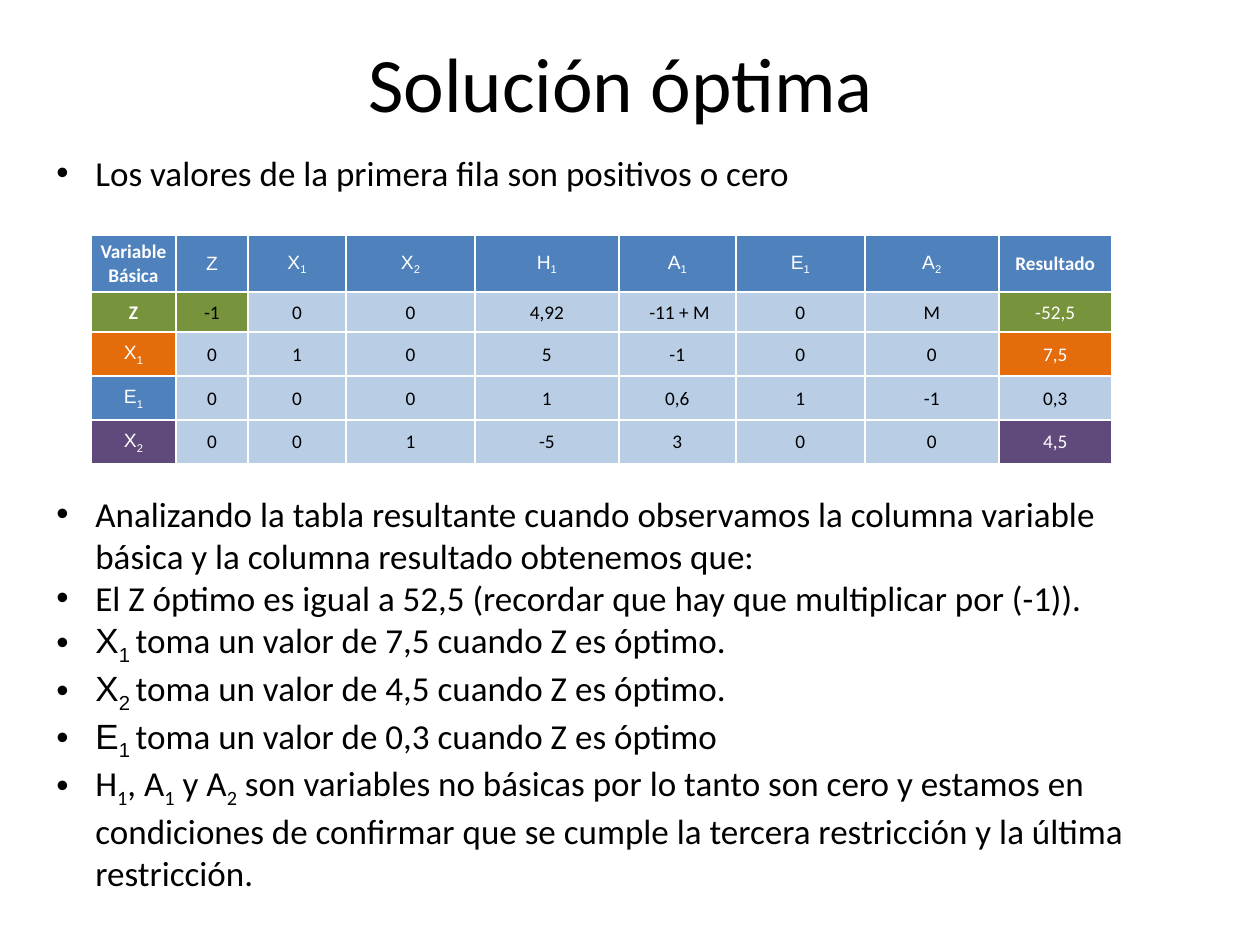
import pptx
import pptx.util
import pptx.dml.color
import pptx.enum.text
import pptx.oxml
import pptx.oxml.ns

PX = 914400 // 126
COLORS = {"black": "000000", "white": "FFFFFF", "blue": "4F81BD", "pale": "B9CDE5",
          "green": "77933C", "orange": "E46C0A", "purple": "604A7B"}

# Content: an underscore switches subscript on and off
TITLE = "Solución óptima"
BULLETS = [
    [("Calibri", "Los valores de la primera fila son positivos o cero")],
    [("Calibri", "Analizando la tabla resultante cuando observamos la columna variable "
                 "básica y la columna resultado obtenemos que:")],
    [("Calibri", "El Z óptimo es igual a 52,5 (recordar que hay que multiplicar por (-1)).")],
    [("Arial", "X_1 "), ("Calibri", "toma un valor de 7,5 cuando Z es óptimo.")],
    [("Arial", "X_2 "), ("Calibri", "toma un valor de 4,5 cuando Z es óptimo.")],
    [("Arial", "E_1 "), ("Calibri", "toma un valor de 0,3 cuando Z es óptimo")],
    [("Calibri", "H_1_, A_1_ y A_2_ son variables no básicas por lo tanto son cero y estamos en "
                 "condiciones de confirmar que se cumple la tercera restricción y la última "
                 "restricción.")],
]
TABLE = [
    ["Variable Básica", "Z", "X_1", "X_2", "H_1", "A_1", "E_1", "A_2", "Resultado"],
    ["Z", "-1", "0", "0", "4,92", " -11 + M", "0", "M", "-52,5"],
    ["X_1", "0", "1", "0", "5", "-1", "0", "0", "7,5"],
    ["E_1", "0", "0", "0", "1", "0,6", "1", "-1", "0,3"],
    ["X_2", "0", "0", "1", "-5", "3", "0", "0", "4,5"],
]
ROW_COLORS = ["blue", "green", "orange", "blue", "purple"]
HIGHLIGHTED = {(1, 1), (1, 8), (2, 8), (4, 8)}

# Layout in px
TITLE_BOX = (54, 3, 1134, 157)
BODY_BOX = (44, 145, 1134, 724)
TABLE_LEFT, TABLE_TOP = 91, 235
COLUMN_WIDTHS = [85, 72, 98, 129, 144, 117, 129, 134, 113]
ROW_HEIGHTS = [57, 40, 44, 44, 44]
BULLET_INDENT = 39
TABLE_GAP = 171  # points, seven lines of body text
TOP_BORDERS = [1, 1.5, 1.5, 1.5, 1]
BOTTOM_BORDERS = [1.5, 1.5, 1.5, 1, 1]


def rgb(name):
    return pptx.dml.color.RGBColor.from_string(COLORS[name])


def element(xml):
    return pptx.oxml.parse_xml(xml.replace(" ", " " + pptx.oxml.ns.nsdecls("a") + " ", 1))


def add_text(paragraph, text, font, size, color, bold=False):
    for index, part in enumerate(text.split("_")):
        if part:
            run = paragraph.add_run()
            run.text = part
            run.font.name = font
            run.font.size = pptx.util.Pt(size)
            run.font.bold = bold
            run.font.color.rgb = rgb(color)
            if index % 2:
                run.font._element.set("baseline", "-25000")


def add_box(slide, box):
    frame = slide.shapes.add_textbox(*[value * PX for value in box]).text_frame
    frame.word_wrap = True
    return frame


def add_bullet(paragraph):
    properties = paragraph._p.get_or_add_pPr()
    properties.set("marL", str(BULLET_INDENT * PX))
    properties.set("indent", str(-BULLET_INDENT * PX))
    for xml in (f'<a:buClr ><a:srgbClr val="{COLORS["black"]}"/></a:buClr>',
                '<a:buFont typeface="Arial"/>', '<a:buChar char="•"/>'):
        properties.append(element(xml))


def set_borders(cell, top, bottom):
    properties = cell._tc.get_or_add_tcPr()
    sides = [("L", 1), ("R", 1), ("T", top), ("B", bottom)]
    for index, (side, width) in enumerate(sides):
        properties.insert(index, element(
            f'<a:ln{side} w="{int(width * 12700)}"><a:solidFill>'
            f'<a:srgbClr val="{COLORS["white"]}"/></a:solidFill></a:ln{side}>'))


def fill_cell(cell, row, column, text):
    header, first = row == 0, column == 0
    variable = "_" in text or (header and text == "Z")
    colored = header or first or (row, column) in HIGHLIGHTED
    light_text = colored and (row, column) != (1, 1)
    cell.fill.solid()
    cell.fill.fore_color.rgb = rgb(ROW_COLORS[row] if colored else "pale")
    cell.margin_left = cell.margin_right = cell.margin_top = PX
    cell.margin_bottom = 0
    cell.vertical_anchor = pptx.enum.text.MSO_ANCHOR.MIDDLE
    paragraph = cell.text_frame.paragraphs[0]
    paragraph.alignment = pptx.enum.text.PP_ALIGN.CENTER
    add_text(paragraph, text, "Arial" if variable else "Calibri", 11,
             "white" if light_text else "black", (header or first) and not variable)
    if first:
        set_borders(cell, 1, 1.5 if row == len(TABLE) - 1 else 1)
    else:
        set_borders(cell, TOP_BORDERS[row], BOTTOM_BORDERS[row])


def main():
    presentation = pptx.Presentation()
    presentation.slide_width = pptx.util.Inches(10)
    presentation.slide_height = pptx.util.Inches(7.5)
    slide = presentation.slides.add_slide(presentation.slide_layouts[6])

    # Title
    title = add_box(slide, TITLE_BOX)
    title.vertical_anchor = pptx.enum.text.MSO_ANCHOR.MIDDLE
    title.paragraphs[0].alignment = pptx.enum.text.PP_ALIGN.CENTER
    add_text(title.paragraphs[0], TITLE, "Calibri", 44, "black")

    # Bullets, with room for the table after the first
    body = add_box(slide, BODY_BOX)
    for index, pieces in enumerate(BULLETS):
        paragraph = body.add_paragraph() if index else body.paragraphs[0]
        add_bullet(paragraph)
        if index == 1:
            paragraph.space_before = pptx.util.Pt(TABLE_GAP)
        for font, text in pieces:
            add_text(paragraph, text, font, 20, "black")

    # Simplex table
    table = slide.shapes.add_table(
        len(TABLE), len(TABLE[0]), TABLE_LEFT * PX, TABLE_TOP * PX,
        sum(COLUMN_WIDTHS) * PX, sum(ROW_HEIGHTS) * PX).table
    table.horz_banding = False
    table.first_row = False
    for column, width in enumerate(COLUMN_WIDTHS):
        table.columns[column].width = width * PX
    for row, texts in enumerate(TABLE):
        table.rows[row].height = ROW_HEIGHTS[row] * PX
        for column, text in enumerate(texts):
            fill_cell(table.cell(row, column), row, column, text)

    presentation.save("out.pptx")


if __name__ == "__main__":
    main()
